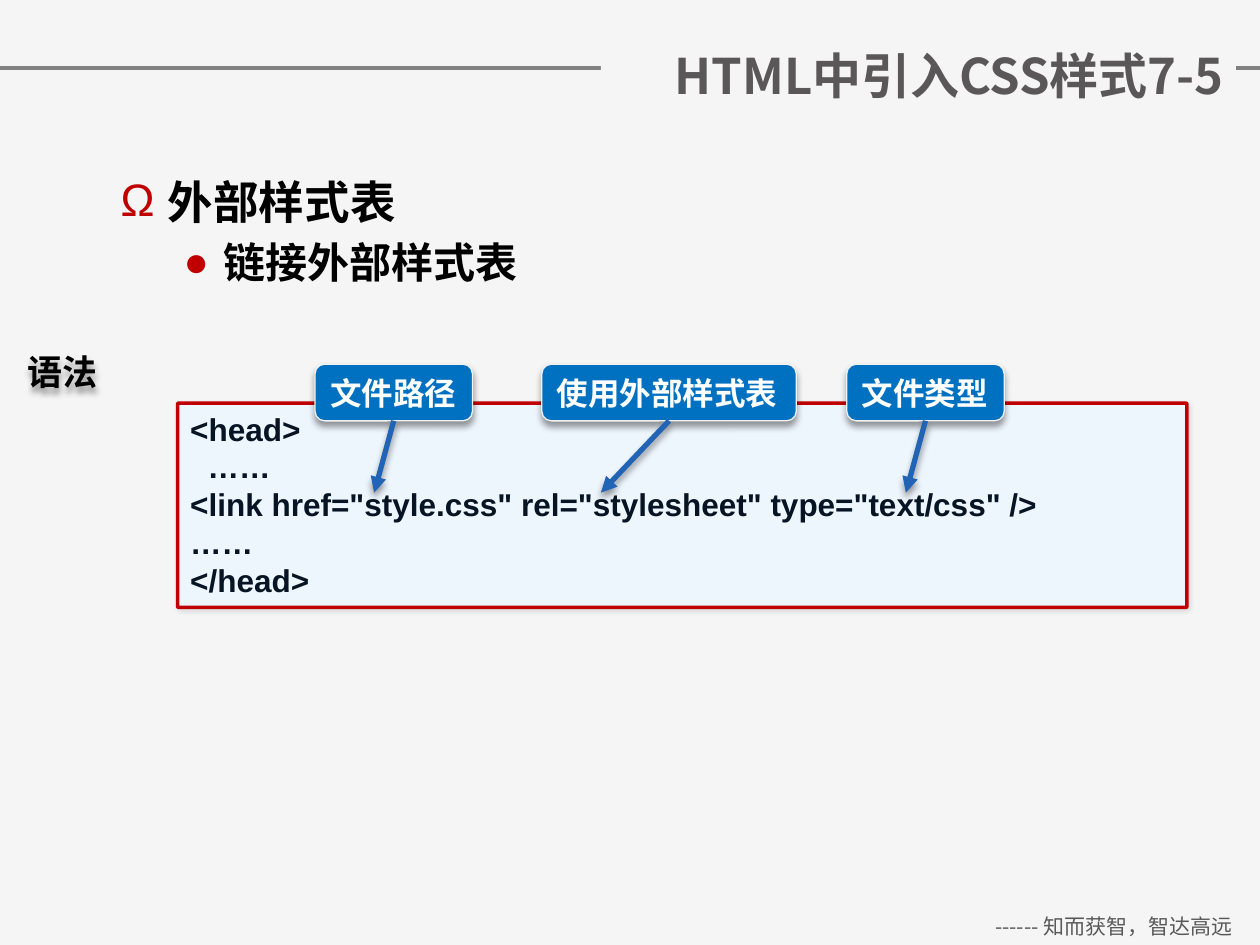
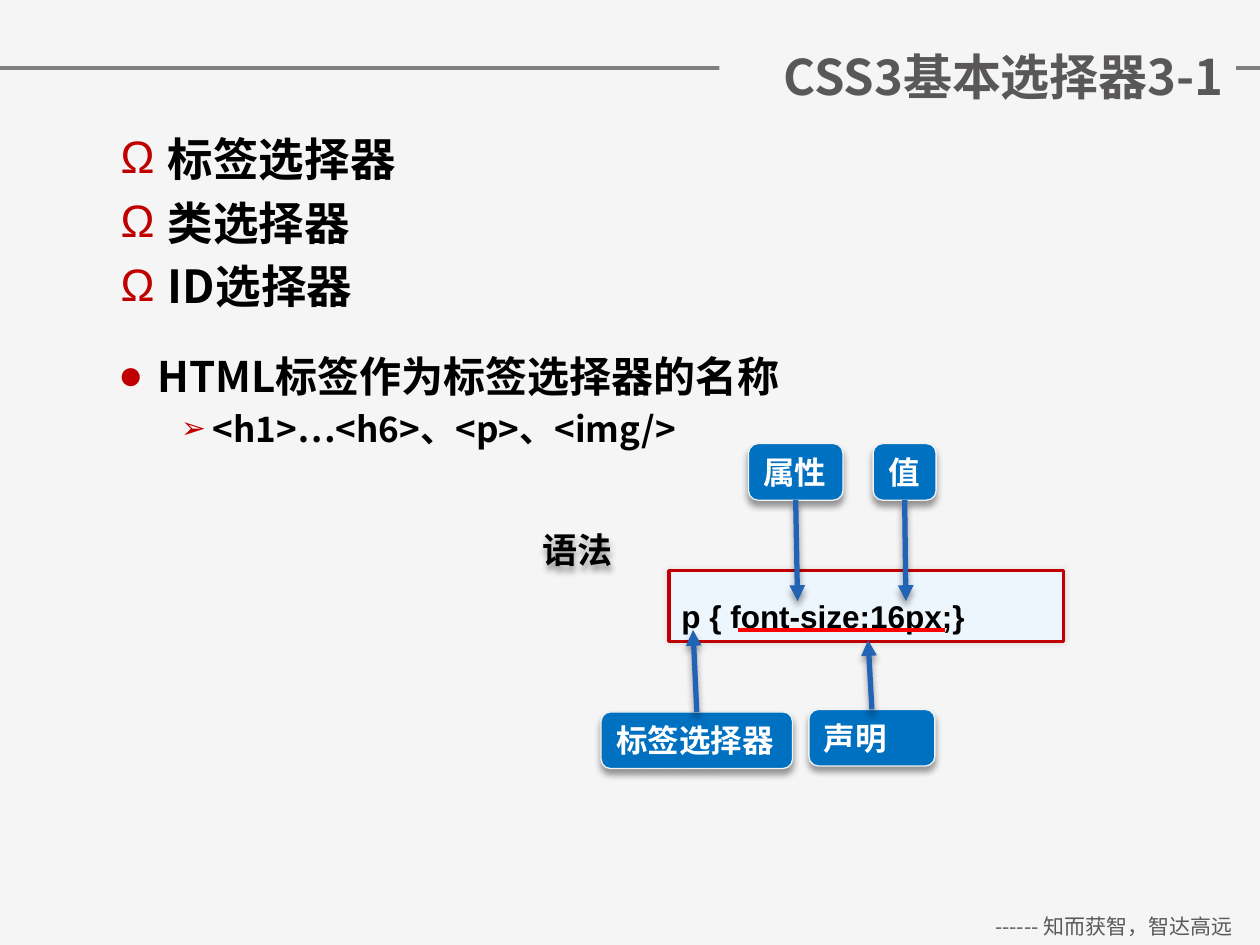
from dataclasses import dataclass
from typing import Optional

import pptx
import pptx.dml.color
import pptx.enum.shapes
import pptx.enum.text
import pptx.oxml.ns
import pptx.util
from lxml import etree

Pt = pptx.util.Pt
Shapes = pptx.enum.shapes.MSO_SHAPE
Anchor = pptx.enum.text.MSO_ANCHOR
Align = pptx.enum.text.PP_ALIGN
qn = pptx.oxml.ns.qn


@dataclass(frozen=True)
class Shadow:
    alpha: int
    blur: float
    distance: float
    angle: int


@dataclass(frozen=True)
class Theme:
    background: str = "F5F5F5"
    rule: str = "808080"
    title: str = "595758"
    footer: str = "595959"
    text: str = "000000"
    accent: str = "C00000"
    code_fill: str = "EDF5FD"
    code_text: str = "071424"
    callout: str = "0070C0"
    callout_edge: str = "F2F2F2"
    callout_text: str = "FFFFFF"
    arrow: str = "2163B4"
    underline: str = "FF0000"
    cjk_font: str = "Noto Sans CJK SC"
    code_font: str = "Arial"
    title_size: float = 28
    syntax_size: float = 20
    code_size: float = 18
    footer_size: float = 12
    soft_shadow: Shadow = Shadow(10, 3, 0, 0)
    drop_shadow: Shadow = Shadow(40, 4, 3, 90)


THEME = Theme()
SLIDE_WIDTH, SLIDE_HEIGHT = 720, 540
TITLE_RIGHT = 706.32
CALLOUT_HEIGHT = 32.4


@dataclass(frozen=True)
class Area:
    left: float
    top: float
    width: float
    height: float

    def lengths(self) -> tuple:
        return Pt(self.left), Pt(self.top), Pt(self.width), Pt(self.height)


@dataclass(frozen=True)
class Level:
    bullet: str
    size: float
    margin: float
    hanging: float
    bullet_percent: int = 100


TOPIC = Level("Ω", 26, 27, 27)
POINT = Level("●", 24, 58.5, 22.5)
DETAIL = Level("➢", 20, 90, 18, 85)


@dataclass(frozen=True)
class Callout:
    """A label whose arrow runs from its nearer edge to the tip."""
    label: str
    left: float
    top: float
    width: float
    tip: tuple[float, float]
    wrap: bool = False


@dataclass(frozen=True)
class Code:
    area: Area
    lines: list[str]
    color: str
    spacing: float
    corner: float
    anchor: Anchor


def rgb(value: str):
    return pptx.dml.color.RGBColor.from_string(value)


def append_shadow(properties, shadow: Optional[Shadow]) -> None:
    """Fill the effect list of a shape; None leaves it empty."""
    effects = properties.find(qn("a:effectLst"))
    if effects is None:
        effects = etree.SubElement(properties, qn("a:effectLst"))
    if shadow is None:
        return
    outer = etree.SubElement(
        effects, qn("a:outerShdw"), blurRad=str(Pt(shadow.blur)),
        dist=str(Pt(shadow.distance)), dir=str(shadow.angle * 60000),
        algn="ctr", rotWithShape="0")
    color = etree.SubElement(outer, qn("a:srgbClr"), val="000000")
    etree.SubElement(color, qn("a:alpha"), val=str(shadow.alpha * 1000))


def add_span(para, text: str, size: float, color: str, font: str,
             bold: bool = True, asian_font: Optional[str] = None) -> None:
    span = para.add_run()
    span.text = text
    span.font.size = Pt(size)
    span.font.bold = bold
    span.font.color.rgb = rgb(color)
    span.font.name = font
    latin = span.font._element.find(qn("a:latin"))
    latin.addnext(etree.Element(qn("a:ea"), typeface=asian_font or font))


def add_line(slide, start: tuple, end: tuple, color: str, width: float):
    line = slide.shapes.add_connector(
        pptx.enum.shapes.MSO_CONNECTOR.STRAIGHT,
        *(Pt(value) for value in (*start, *end)))
    line.line.color.rgb = rgb(color)
    line.line.width = Pt(width)
    return line


def add_text_box(slide, area: Area, anchor=Anchor.TOP, wrap: bool = True):
    box = slide.shapes.add_textbox(*area.lengths())
    box.text_frame.word_wrap = wrap
    box.text_frame.vertical_anchor = anchor
    return box


def add_panel(slide, kind, area: Area, fill: str, edge: str, width: float,
              shadow: Shadow, anchor):
    panel = slide.shapes.add_shape(kind, *area.lengths())
    panel.shadow.inherit = False
    panel.fill.solid()
    panel.fill.fore_color.rgb = rgb(fill)
    panel.line.color.rgb = rgb(edge)
    panel.line.width = Pt(width)
    append_shadow(panel.element.spPr, shadow)
    panel.text_frame.word_wrap = True
    panel.text_frame.vertical_anchor = anchor
    return panel


def add_framed_slide(deck, title: str, left: float, top: float, height: float):
    """Add a slide with the background, header rule, footer and title."""
    slide = deck.slides.add_slide(deck.slide_layouts[6])
    slide.background.fill.solid()
    slide.background.fill.fore_color.rgb = rgb(THEME.background)

    rule = add_line(slide, (0, 38.88), (SLIDE_WIDTH, 38.88), THEME.rule, 2)
    append_shadow(rule.element.spPr, None)

    footer = add_text_box(slide, Area(552.96, 518.4, 167.04, 21.6))
    para = footer.text_frame.paragraphs[0]
    para.alignment = Align.CENTER
    add_span(para, "------ 知而获智，智达高远", THEME.footer_size,
             THEME.footer, THEME.cjk_font, bold=False)

    box = add_text_box(slide, Area(left, top, TITLE_RIGHT - left, height),
                       Anchor.MIDDLE)
    box.fill.solid()
    box.fill.fore_color.rgb = rgb(THEME.background)
    para = box.text_frame.paragraphs[0]
    para.alignment = Align.RIGHT
    add_span(para, title, THEME.title_size, THEME.title, THEME.cjk_font)
    return slide


def add_bullet(para, level: Level) -> None:
    properties = para._p.get_or_add_pPr()
    properties.set("marL", str(Pt(level.margin)))
    properties.set("indent", str(-Pt(level.hanging)))
    color = etree.SubElement(properties, qn("a:buClr"))
    etree.SubElement(color, qn("a:srgbClr"), val=THEME.accent)
    etree.SubElement(properties, qn("a:buSzPct"),
                     val=str(level.bullet_percent * 1000))
    etree.SubElement(properties, qn("a:buFont"), typeface=THEME.code_font)
    etree.SubElement(properties, qn("a:buChar"), char=level.bullet)


def add_outline(slide, area: Area, items: list[tuple[Level, str]]) -> None:
    frame = add_text_box(slide, area).text_frame
    for index, (level, text) in enumerate(items):
        para = frame.add_paragraph() if index else frame.paragraphs[0]
        add_bullet(para, level)
        if index:
            para.space_before = Pt(level.size * 0.2)
        add_span(para, text, level.size, THEME.text, THEME.cjk_font)


def add_code(slide, code: Code) -> None:
    panel = add_panel(slide, Shapes.ROUNDED_RECTANGLE, code.area,
                      THEME.code_fill, THEME.accent, 2, THEME.soft_shadow,
                      code.anchor)
    panel.adjustments[0] = code.corner
    frame = panel.text_frame
    for index, line in enumerate(code.lines):
        para = frame.add_paragraph() if index else frame.paragraphs[0]
        para.alignment = Align.LEFT
        para.line_spacing = code.spacing
        add_span(para, line, THEME.code_size, code.color, THEME.code_font)


def add_callout(slide, callout: Callout) -> None:
    area = Area(callout.left, callout.top, callout.width, CALLOUT_HEIGHT)
    panel = add_panel(slide, Shapes.ROUNDED_RECTANGULAR_CALLOUT, area,
                      THEME.callout, THEME.callout_edge, 0.75,
                      THEME.drop_shadow, Anchor.MIDDLE)
    for index, value in enumerate((-0.5, 0, 0.17)):
        panel.adjustments[index] = value
    frame = panel.text_frame
    frame.word_wrap = callout.wrap
    frame.margin_left = frame.margin_right = Pt(7)
    para = frame.paragraphs[0]
    para.alignment = Align.LEFT
    add_span(para, callout.label, THEME.code_size, THEME.callout_text,
             THEME.code_font, asian_font=THEME.cjk_font)

    points_down = callout.tip[1] > callout.top
    edge = callout.top + (CALLOUT_HEIGHT if points_down else 0)
    start = (callout.left + callout.width / 2, edge)
    arrow = add_line(slide, start, callout.tip, THEME.arrow, 3)
    etree.SubElement(arrow.line._get_or_add_ln(), qn("a:tailEnd"),
                     type="triangle")
    append_shadow(arrow.element.spPr, THEME.drop_shadow)


def add_syntax_label(slide, left: float, top: float) -> None:
    box = add_text_box(slide, Area(left, top, 55.44, 31.68), Anchor.MIDDLE,
                       wrap=False)
    append_shadow(box.element.spPr, THEME.drop_shadow)
    add_span(box.text_frame.paragraphs[0], "语法", THEME.syntax_size,
             THEME.text, THEME.cjk_font)


def build_external_style_slide(deck) -> None:
    slide = add_framed_slide(deck, "HTML中引入CSS样式7-5", 343.44, 22.32, 41.04)
    add_outline(slide, Area(61.92, 95.76, 601.92, 405.36),
                [(TOPIC, "外部样式表"), (POINT, "链接外部样式表")])
    add_code(slide, Code(
        Area(101.52, 230.4, 576.72, 116.64),
        ["<head>", "  ……",
         '<link href="style.css" rel="stylesheet" type="text/css" />',
         "……", "</head>"],
        THEME.code_text, 1.0, 0.004, Anchor.TOP))
    for callout in (
            Callout("文件路径", 180, 208.08, 90, (213.84, 281.52)),
            Callout("使用外部样式表", 309.6, 208.08, 145.44, (343.44, 281.52)),
            Callout("文件类型", 483.84, 208.08, 90, (517.68, 281.52))):
        add_callout(slide, callout)
    add_syntax_label(slide, 8.64, 196.56)


def build_selector_slide(deck) -> None:
    slide = add_framed_slide(deck, "CSS3基本选择器3-1", 411.12, 5.76, 74.88)
    add_outline(slide, Area(61.92, 71.28, 601.92, 405.36),
                [(TOPIC, name) for name in ("标签选择器", "类选择器", "ID选择器")])
    add_outline(slide, Area(24.48, 196.56, 601.92, 90),
                [(POINT, "HTML标签作为标签选择器的名称"),
                 (DETAIL, "<h1>…<h6>、<p>、<img/>")])
    add_code(slide, Code(Area(382.32, 326.16, 225.36, 40.32),
                         ["p { font-size:16px;}"], THEME.text, 1.5, 0,
                         Anchor.MIDDLE))
    underline = add_line(slide, (421.92, 360), (540, 360), THEME.underline, 2)
    append_shadow(underline.element.spPr, None)
    for callout in (
            Callout("标签选择器", 343.44, 406.8, 109.44, (396, 360)),
            Callout("声明", 462.24, 405.36, 72, (496.08, 365.76), wrap=True),
            Callout("属性", 427.68, 253.44, 54, (455.76, 343.44)),
            Callout("值", 498.96, 253.44, 36, (517.68, 343.44))):
        add_callout(slide, callout)
    add_syntax_label(slide, 303.12, 298.08)


def main() -> None:
    deck = pptx.Presentation()
    deck.slide_width, deck.slide_height = Pt(SLIDE_WIDTH), Pt(SLIDE_HEIGHT)
    build_external_style_slide(deck)
    build_selector_slide(deck)
    deck.save("out.pptx")


if __name__ == "__main__":
    main()
